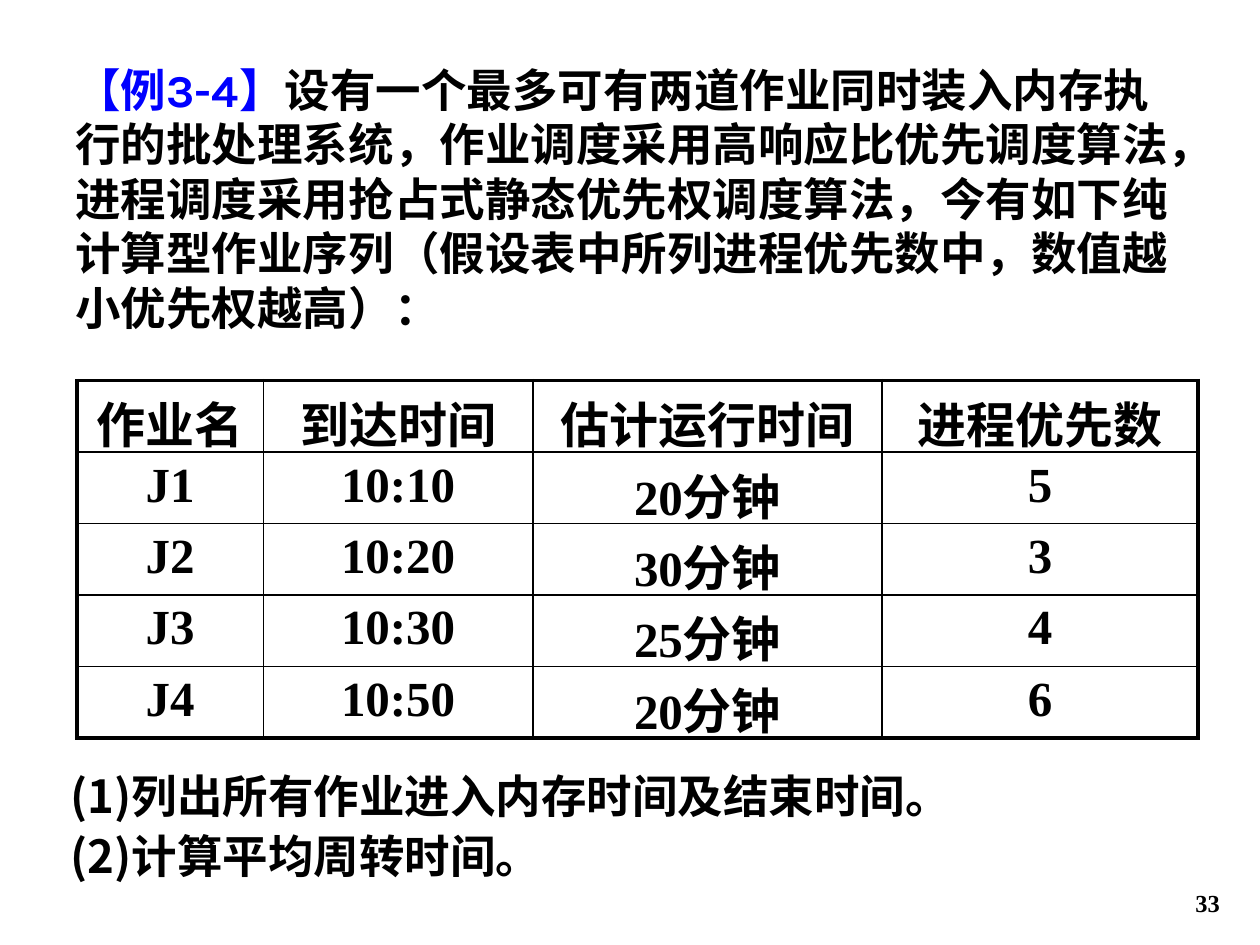
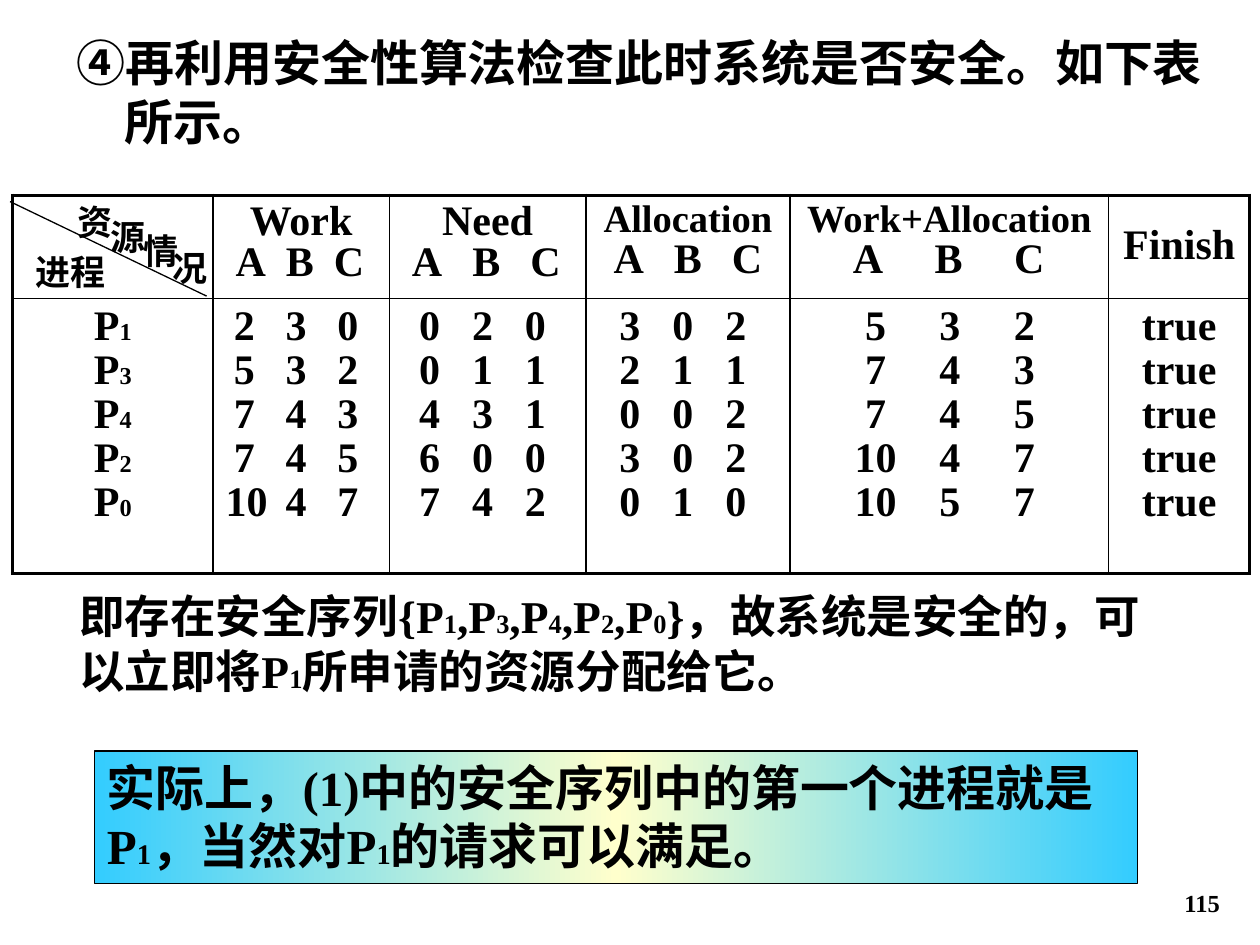
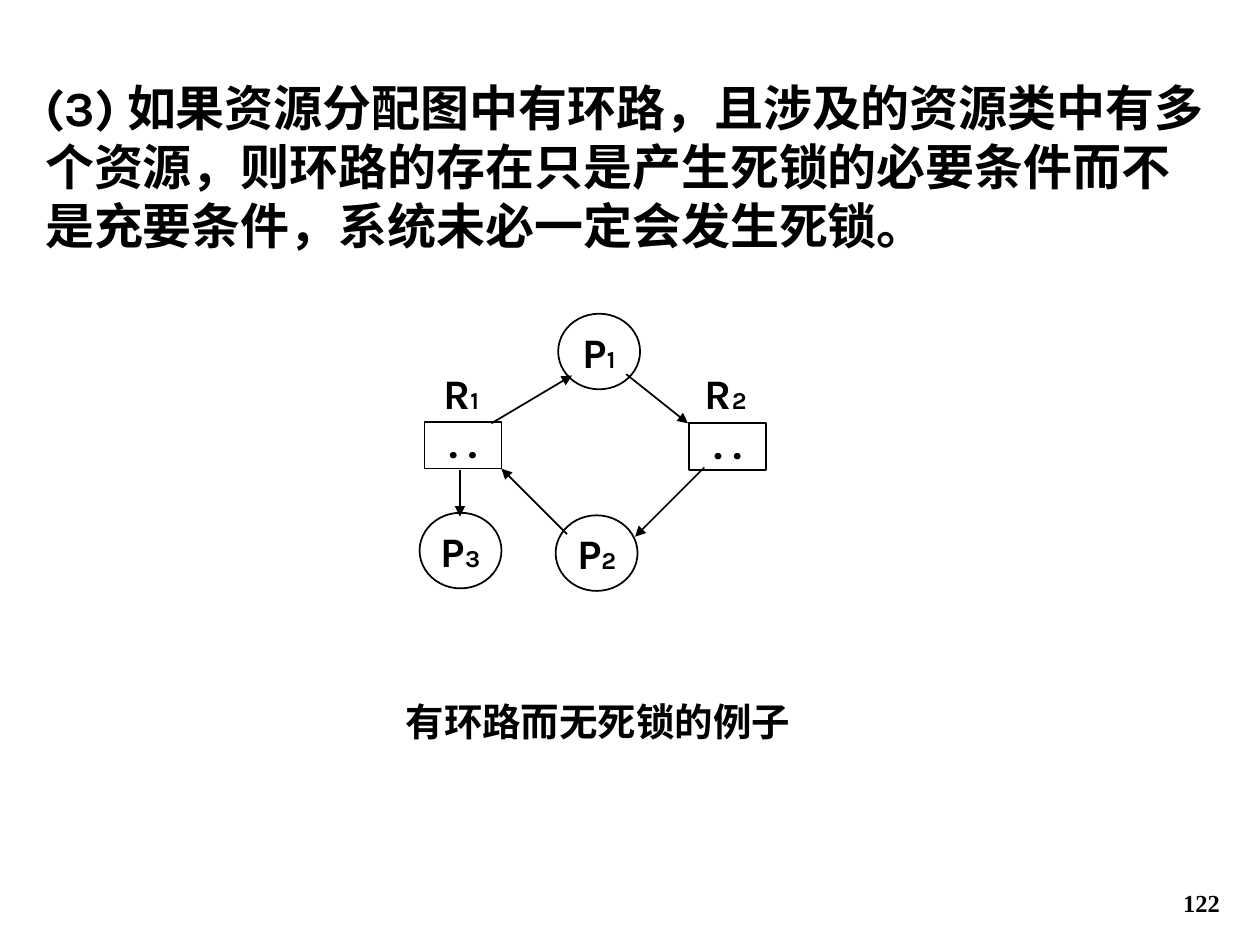
from dataclasses import dataclass
from typing import Any, NamedTuple, Optional

from lxml import etree
from copy import deepcopy
from pptx import Presentation
from pptx.dml.color import RGBColor
from pptx.enum.shapes import MSO_CONNECTOR, MSO_SHAPE
from pptx.enum.text import MSO_ANCHOR, PP_ALIGN
from pptx.oxml.ns import qn
from pptx.util import Inches, Pt

LEFT, CENTER, RIGHT = PP_ALIGN.LEFT, PP_ALIGN.CENTER, PP_ALIGN.RIGHT
TOP, MIDDLE, BOTTOM = MSO_ANCHOR.TOP, MSO_ANCHOR.MIDDLE, MSO_ANCHOR.BOTTOM
RECTANGLE, OVAL = MSO_SHAPE.RECTANGLE, MSO_SHAPE.OVAL
STRAIGHT = MSO_CONNECTOR.STRAIGHT


@dataclass(frozen=True)
class Theme:
    ink: str = "000000"
    accent: str = "0000FF"
    band_edge: str = "33CCFF"
    band_middle: str = "FFFFCC"
    serif: str = "Times New Roman"
    sans: str = "Karla"
    chinese: str = "Noto Sans CJK SC"
    heading: int = 28
    body: int = 26
    cell: int = 24
    small: int = 22
    label: int = 20
    footer: int = 14
    frame: float = 2.25
    rule: float = 1
    hairline: float = 0.75


THEME = Theme()


class Area(NamedTuple):
    left: float
    top: float
    width: float
    height: float


class Tabs(NamedTuple):
    start: float
    step: float


@dataclass(frozen=True)
class Span:
    text: str
    color: str = THEME.ink
    font: str = ""
    baseline: int = 0
    tracking: int = 0


@dataclass(frozen=True)
class Para:
    spans: list[Span]
    size: float
    font: str = THEME.serif
    align: Any = LEFT
    before: float = 0
    line: Optional[float] = None
    tabs: Optional[Tabs] = None
    number: int = 0


class Vector(NamedTuple):
    begin: tuple[float, float]
    end: tuple[float, float]


class Column(NamedTuple):
    title: str
    width: float
    title_size: int
    title_tabs: Tabs
    tabs: Tabs
    rows: list[str]


class Node(NamedTuple):
    kind: Any
    area: Area
    spans: list[Span]


def apply(target: Any, values: dict[str, Any]) -> None:
    for name, value in values.items():
        setattr(target, name, value)


def subscripted(text: str, drop: int = -20) -> list[Span]:
    first, *others = text.split("_")
    spans = [Span(first)]
    for other in others:
        spans.append(Span(other[0], baseline=drop))
        if other[1:]:
            spans.append(Span(other[1:]))
    return spans


def write_span(paragraph: Any, span: Span, para: Para) -> None:
    run = paragraph.add_run()
    run.text = span.text
    apply(run.font, {"name": span.font or para.font, "size": Pt(para.size), "bold": True})
    run.font.color.rgb = RGBColor.from_string(span.color)
    properties = run.font._element
    etree.SubElement(properties, qn("a:ea")).set("typeface", THEME.chinese)
    for name, value in (("baseline", span.baseline), ("spc", span.tracking)):
        if value:
            properties.set(name, str(value))


def write_text(frame: Any, paras: list[Para]) -> None:
    for index, para in enumerate(paras):
        paragraph = frame.add_paragraph() if index else frame.paragraphs[0]
        properties = paragraph._p.get_or_add_pPr()
        if para.number:
            properties.set("marL", str(Inches(0.38)))
            properties.set("indent", str(Inches(-0.38)))
            bullet = etree.SubElement(properties, qn("a:buAutoNum"))
            bullet.set("type", "circleNumDbPlain")
            bullet.set("startAt", str(para.number))
        if para.tabs:
            stops = etree.SubElement(properties, qn("a:tabLst"))
            for position in range(3):
                stop = etree.SubElement(stops, qn("a:tab"))
                stop.set("pos", str(Inches(para.tabs.start + position * para.tabs.step)))
                stop.set("algn", "ctr")
        apply(paragraph, {"alignment": para.align, "line_spacing": para.line})
        if index and para.before:
            paragraph.space_before = Pt(para.before)
        for span in para.spans:
            write_span(paragraph, span, para)


def add_text(page: Any, area: Area, paras: list[Para], anchor: Any = TOP) -> None:
    box = page.shapes.add_textbox(*map(Inches, area))
    apply(box.text_frame, {"word_wrap": True, "vertical_anchor": anchor})
    write_text(box.text_frame, paras)


def add_outlined(page: Any, kind: Any, area: Area, width: float) -> Any:
    shape = page.shapes.add_shape(kind, *map(Inches, area))
    shape.shadow.inherit = False
    shape.fill.background()
    shape.line.color.rgb = RGBColor.from_string(THEME.ink)
    shape.line.width = Pt(width)
    return shape


def add_line(page: Any, vector: Vector, width: float, arrow: bool = False) -> None:
    line = page.shapes.add_connector(STRAIGHT, *map(Inches, vector.begin + vector.end))
    line.line.color.rgb = RGBColor.from_string(THEME.ink)
    line.line.width = Pt(width)
    properties = line._element.spPr
    if arrow:
        etree.SubElement(properties.find(qn("a:ln")), qn("a:tailEnd")).set("type", "triangle")
    etree.SubElement(properties, qn("a:effectLst"))


def add_border(cell: Any, side: str, width: float) -> None:
    line = etree.SubElement(cell._tc.get_or_add_tcPr(), qn(f"a:ln{side}"))
    line.set("w", str(Pt(width)))
    fill = etree.SubElement(line, qn("a:solidFill"))
    etree.SubElement(fill, qn("a:srgbClr")).set("val", THEME.ink)


def add_grid(page: Any, left: float, top: float, widths: list[float], heights: list[float]) -> Any:
    area = Area(left, top, sum(widths), sum(heights))
    table = page.shapes.add_table(len(heights), len(widths), *map(Inches, area)).table
    apply(table, {"first_row": False, "horz_banding": False})
    for column, width in zip(table.columns, widths):
        column.width = Inches(width)
    last_row, last_column = len(heights) - 1, len(widths) - 1
    for row, height in enumerate(heights):
        table.rows[row].height = Inches(height)
        for column in range(len(widths)):
            cell = table.cell(row, column)
            outer = {"L": column == 0, "R": column == last_column, "T": row == 0, "B": row == last_row}
            for side, framed in outer.items():
                add_border(cell, side, THEME.frame if framed else THEME.rule)
            cell.fill.background()
    return table


def add_page(deck: Any, number: int) -> Any:
    page = deck.slides.add_slide(deck.slide_layouts[6])
    footer = Para([Span(str(number))], THEME.footer, align=RIGHT)
    add_text(page, Area(7.7, 6.83, 2.08, 0.5), [footer], BOTTOM)
    return page


def build_job_example(deck: Any) -> None:
    page = add_page(deck, 33)
    problem = [
        Span("【例", THEME.accent),
        Span("3-4", THEME.accent, THEME.sans),
        Span("】", THEME.accent),
        Span("设有一个最多可有两道作业同时装入内存执行的批处理系统，作业调度采用高响应比优先"
             "调度算法，进程调度采用抢占式静态优先权调度算法，今有如下纯计算型作业序列"
             "（假设表中所列进程优先数中，数值越小优先权越高）："),
    ]
    add_text(page, Area(0.5, 0.44, 8.91, 2.27), [Para(problem, THEME.body, THEME.chinese)])
    questions = ["(1)列出所有作业进入内存时间及结束时间。", "(2)计算平均周转时间。"]
    add_text(page, Area(0.46, 6.05, 8.17, 1.01),
             [Para([Span(text)], THEME.body, THEME.chinese, before=2.6) for text in questions])
    jobs = [
        ["作业名", "到达时间", "估计运行时间", "进程优先数"],
        ["J1", "10:10", "20分钟", "5"],
        ["J2", "10:20", "30分钟", "3"],
        ["J3", "10:30", "25分钟", "4"],
        ["J4", "10:50", "20分钟", "6"],
    ]
    table = add_grid(page, 0.61, 3.02, [1.48, 2.14, 2.77, 2.51], [2.83 / len(jobs)] * len(jobs))
    for row, values in enumerate(jobs):
        for column, value in enumerate(values):
            write_text(table.cell(row, column).text_frame,
                       [Para([Span(value)], THEME.heading, align=CENTER)])


RESOURCES = [
    Column("Work", 1.4, THEME.cell, Tabs(0.2, 0.39), Tabs(0.15, 0.41),
           ["2 3 0", "5 3 2", "7 4 3", "7 4 5", "10 4 7"]),
    Column("Need", 1.56, THEME.cell, Tabs(0.2, 0.47), Tabs(0.22, 0.42),
           ["0 2 0", "0 1 1", "4 3 1", "6 0 0", "7 4 2"]),
    Column("Allocation", 1.62, THEME.small, Tabs(0.24, 0.47), Tabs(0.25, 0.42),
           ["3 0 2", "2 1 1", "0 0 2", "3 0 2", "0 1 0"]),
    Column("Work+Allocation", 2.53, THEME.small, Tabs(0.52, 0.64), Tabs(0.58, 0.59),
           ["5 3 2", "7 4 3", "7 4 5", "10 4 7", "10 5 7"]),
]


def tabbed(values: str) -> list[Span]:
    return [Span("".join(f"\t{value}" for value in values.split()))]


def fill_safety_table(page: Any) -> None:
    widths = [1.59, *(column.width for column in RESOURCES), 1.12]
    table = add_grid(page, 0.1, 1.55, widths, [0.82, 2.18])
    processes = ["P_1", "P_3", "P_4", "P_2", "P_0"]
    write_text(table.cell(1, 0).text_frame,
               [Para(subscripted(name), THEME.cell, align=CENTER, line=0.95) for name in processes])
    for index, column in enumerate(RESOURCES, 1):
        write_text(table.cell(0, index).text_frame, [
            Para([Span(column.title)], column.title_size, align=CENTER, line=0.9),
            Para(tabbed("A B C"), THEME.cell, line=0.9, tabs=column.title_tabs),
        ])
        write_text(table.cell(1, index).text_frame,
                   [Para(tabbed(row), THEME.cell, line=0.95, tabs=column.tabs) for row in column.rows])
    finish = len(widths) - 1
    table.cell(0, finish).vertical_anchor = MIDDLE
    write_text(table.cell(0, finish).text_frame,
               [Para([Span("Finish")], THEME.cell, align=CENTER, line=0.9)])
    write_text(table.cell(1, finish).text_frame,
               [Para([Span("true")], THEME.cell, align=CENTER, line=0.95)] * len(processes))


def build_safety_check(deck: Any) -> None:
    page = add_page(deck, 115)
    conclusion = "即存在安全序列{P_1,P_3,P_4,P_2,P_0}，故系统是安全的，可以立即将P_1所申请的资源分配给它。"
    add_text(page, Area(0.53, 4.62, 8.86, 0.97), [Para(subscripted(conclusion), THEME.body)])

    band = add_outlined(page, RECTANGLE, Area(0.75, 5.96, 8.28, 1.05), THEME.hairline)
    band.fill.gradient()
    band.fill.gradient_angle = 0
    stops = next(band._element.spPr.iter(qn("a:gsLst")))
    stops.append(deepcopy(stops[0]))
    colors = [THEME.band_edge, THEME.band_middle, THEME.band_edge]
    for index, (stop, color) in enumerate(zip(band.fill.gradient_stops, colors)):
        stop.color.rgb = RGBColor.from_string(color)
        stop.position = index / 2
    apply(band.text_frame, {"word_wrap": True, "vertical_anchor": TOP})
    remark = "实际上，(1)中的安全序列中的第一个进程就是P_1，当然对P_1的请求可以满足。"
    write_text(band.text_frame, [Para(subscripted(remark, -25), THEME.heading)])

    step = "再利用安全性算法检查此时系统是否安全。如下表所示。"
    add_text(page, Area(0.51, 0.21, 9.13, 1.03), [Para([Span(step)], THEME.heading, number=4)])
    fill_safety_table(page)
    add_line(page, Vector((0.08, 1.6), (1.64, 2.35)), THEME.hairline)
    corner_labels = [
        ("进程", Area(0.18, 1.94, 0.92, 0.43)),
        ("资", Area(0.52, 1.54, 0.51, 0.43)),
        ("源", Area(0.78, 1.66, 0.51, 0.43)),
        ("情", Area(1.04, 1.77, 0.51, 0.43)),
        ("况", Area(1.27, 1.91, 0.51, 0.43)),
    ]
    for text, area in corner_labels:
        add_text(page, area, [Para([Span(text)], THEME.label)])


def build_cycle_example(deck: Any) -> None:
    page = add_page(deck, 122)
    rule = ("(3) 如果资源分配图中有环路，且涉及的资源类中有多个资源，"
            "则环路的存在只是产生死锁的必要条件而不是充要条件，系统未必一定会发生死锁。")
    add_text(page, Area(0.26, 0.57, 9.49, 1.5), [Para([Span(rule)], THEME.heading, THEME.sans)])
    add_text(page, Area(2.41, 5.49, 4.67, 0.47),
             [Para([Span("有环路而无死锁的例子")], THEME.small, THEME.sans, CENTER)])

    instances = [Span("• •", baseline=-16, tracking=150)]
    nodes = [
        Node(OVAL, Area(4.43, 2.49, 0.65, 0.6), subscripted("P_1", -16)),
        Node(OVAL, Area(4.41, 4.09, 0.65, 0.6), subscripted("P_2", -16)),
        Node(OVAL, Area(3.33, 4.07, 0.65, 0.6), subscripted("P_3", -16)),
        Node(RECTANGLE, Area(3.37, 3.35, 0.61, 0.37), instances),
        Node(RECTANGLE, Area(5.47, 3.36, 0.61, 0.37), instances),
    ]
    margins = {"margin_left": Inches(0.06), "margin_right": Inches(0.06),
               "margin_top": Inches(0.01), "margin_bottom": Inches(0.01)}
    for node in nodes:
        shape = add_outlined(page, node.kind, node.area, THEME.rule)
        apply(shape.text_frame, {**margins, "word_wrap": False, "vertical_anchor": MIDDLE})
        write_text(shape.text_frame, [Para(node.spans, THEME.cell, THEME.sans, CENTER)])
    for name, left in (("R_1", 3.22), ("R_2", 5.32)):
        add_text(page, Area(left, 2.87, 0.88, 0.5),
                 [Para(subscripted(name, -16), THEME.cell, THEME.sans, CENTER)])

    arrows = [
        Vector((3.9, 3.36), (4.54, 2.98)),
        Vector((4.97, 2.97), (5.46, 3.36)),
        Vector((3.65, 3.73), (3.65, 4.1)),
        Vector((4.5, 4.24), (3.98, 3.72)),
        Vector((5.59, 3.71), (5.04, 4.26)),
    ]
    for arrow in arrows:
        add_line(page, arrow, THEME.rule, arrow=True)


def main() -> None:
    deck = Presentation()
    apply(deck, {"slide_width": Inches(10), "slide_height": Inches(7.5)})
    build_job_example(deck)
    build_safety_check(deck)
    build_cycle_example(deck)
    deck.save("out.pptx")


if __name__ == "__main__":
    main()
